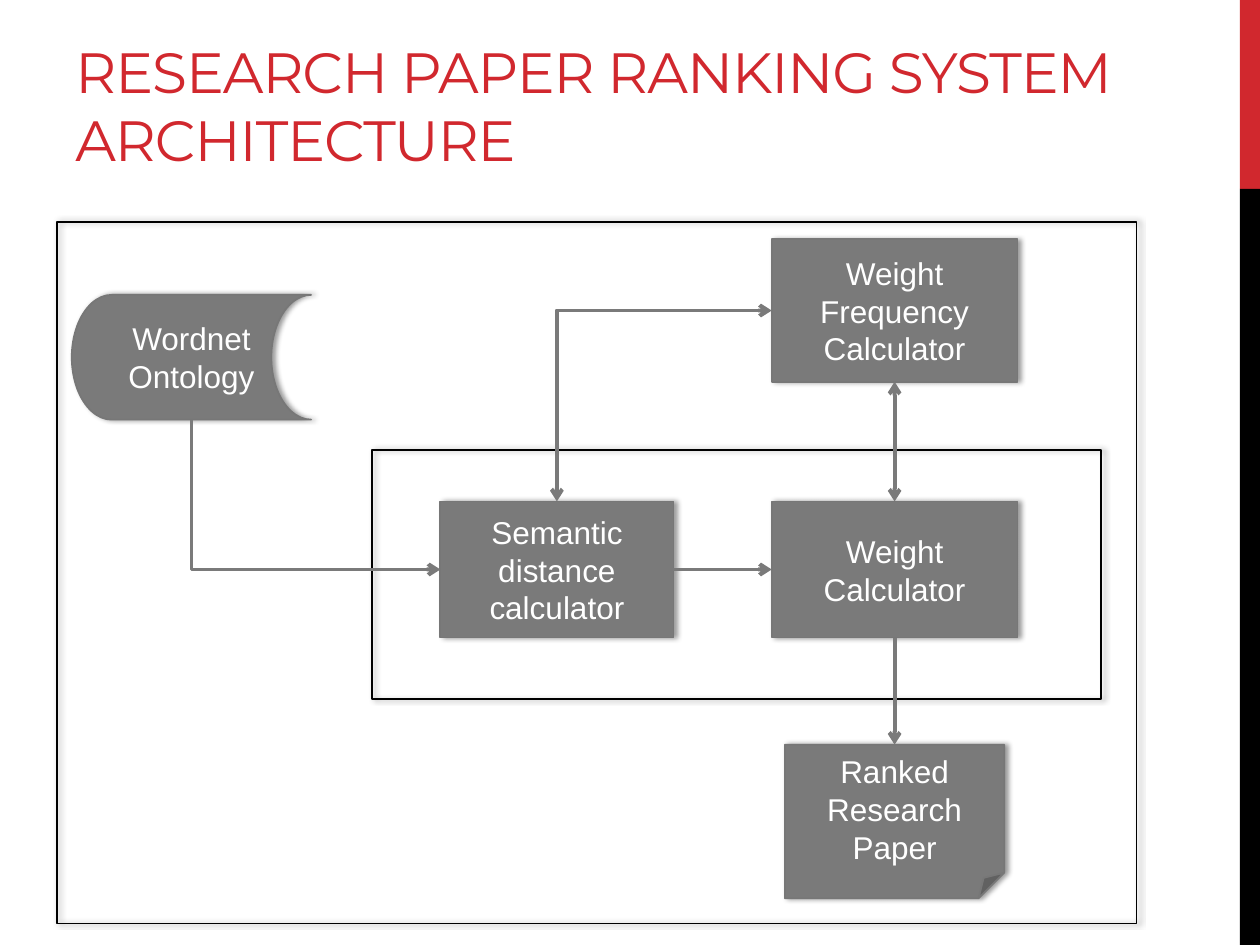
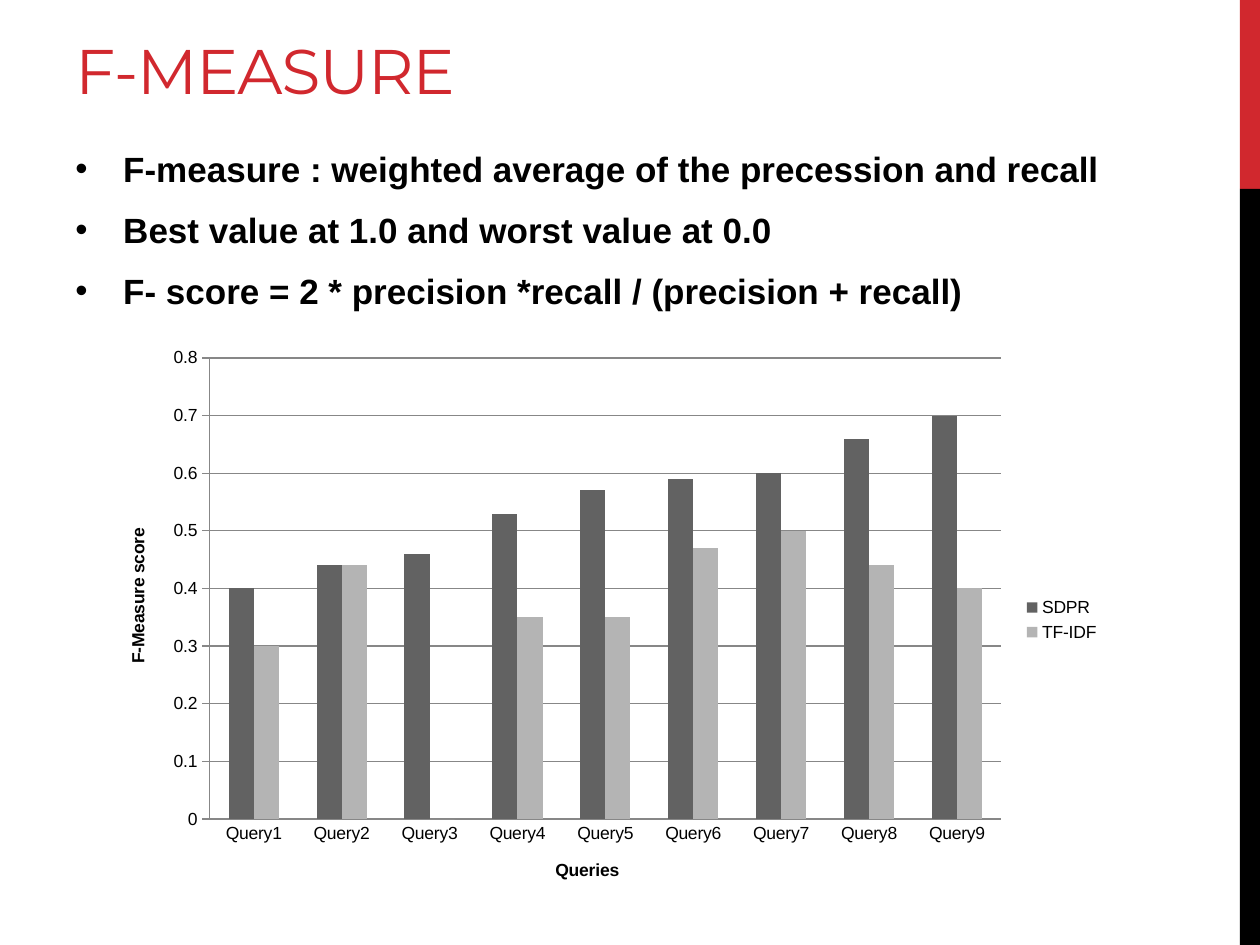
from lxml import etree
from pptx import Presentation
from pptx.chart.data import CategoryChartData
from pptx.dml.color import RGBColor
from pptx.enum.chart import XL_CHART_TYPE, XL_LEGEND_POSITION, XL_TICK_MARK
from pptx.enum.shapes import MSO_CONNECTOR, MSO_SHAPE
from pptx.enum.text import MSO_ANCHOR, PP_ALIGN
from pptx.oxml.ns import qn
from pptx.util import Inches, Pt

RECT = MSO_SHAPE.RECTANGLE
STORE = MSO_SHAPE.FLOWCHART_STORED_DATA
FOLD = MSO_SHAPE.FOLDED_CORNER
DISK = "flowChartOnlineStorage"
LINE, BENT = MSO_CONNECTOR.STRAIGHT, MSO_CONNECTOR.ELBOW
TOP, LEFT, BOTTOM, RIGHT = range(4)


class Theme:
    red, black, white = "D1282E", "000000", "FFFFFF"
    box, edge, grid = "7A7A7A", "777777", "878787"
    bars = ("626262", "B4B4B4")
    head, font = "Montserrat", "Arial"
    node, body, chart = 18, 20, 10


# Content: bands and frames are left, top, width, height
BANDS = [((9.84, 0, 0.16, 1.5), Theme.red), ((9.84, 1.5, 0.16, 6), Theme.black)]

FLOW_TITLE = ("RESEARCH PAPER RANKING SYSTEM ARCHITECTURE", (0.5, 0.17, 8.65, 1.23), 32.4)
FRAMES = [(0.45, 1.76, 8.57, 5.57), (2.95, 3.57, 5.79, 1.98)]
# Nodes: text, preset, centre x, top, width, height
NODES = {
    "store": ("Wordnet\nOntology", STORE, 1.52, 2.34, 1.9, 0.99),
    "dist": ("Semantic distance calculator", RECT, 4.42, 3.98, 1.85, 1.08),
    "weight": ("Weight Calculator", RECT, 7.1, 3.98, 1.95, 1.08),
    "rank": ("Ranked Research Paper", FOLD, 7.1, 5.91, 1.74, 1.22),
    "freq": ("Weight Frequency\nCalculator", RECT, 7.1, 1.9, 1.95, 1.13),
}
# Links: kind, start, side, end, side, ends that carry an arrow
LINKS = [
    (BENT, "dist", LEFT, "store", BOTTOM, ["headEnd"]),
    (LINE, "dist", RIGHT, "weight", LEFT, ["tailEnd"]),
    (LINE, "weight", BOTTOM, "rank", TOP, ["tailEnd"]),
    (BENT, "freq", LEFT, "dist", TOP, ["headEnd", "tailEnd"]),
    (LINE, "freq", BOTTOM, "weight", TOP, ["headEnd", "tailEnd"]),
]

SCORE_TITLE = ("F-MEASURE", (0.5, 0.17, 6.33, 0.71), 36)
POINTS = [
    "F-measure : weighted average of the precession and recall",
    "Best value at 1.0 and worst value at 0.0",
    "F- score = 2 * precision *recall / (precision + recall)",
]
POINT_AREA = (0.5, 1.12, 8.33, 1.5)
CHART_AREA = (0.78, 2.66, 8.05, 4.52)
PLOT = {"x": 0.11, "y": 0.04, "w": 0.78, "h": 0.81}
SCORES = {
    "SDPR": (0.4, 0.44, 0.46, 0.53, 0.57, 0.59, 0.6, 0.66, 0.7),
    "TF-IDF": (0.3, 0.44, 0, 0.35, 0.35, 0.47, 0.5, 0.44, 0.4),
}
AXES = ("Queries", "F-Measure score")


# Helpers
def rgb(code):
    return RGBColor.from_string(code)


def inch(area):
    return [Inches(part) for part in area]


def sub(node, tag, **attrs):
    return etree.SubElement(node, qn(tag), {key: str(val) for key, val in attrs.items()})


def style(font, size, color, name=Theme.font, bold=False):
    font.size, font.name, font.bold = Pt(size), name, bold
    font.color.rgb = rgb(color)


def add_box(slide, kind, area, fill=None, line=None, shade=False):
    box = slide.shapes.add_shape(kind, *inch(area))
    box.shadow.inherit = False
    if fill:
        box.fill.solid()
        box.fill.fore_color.rgb = rgb(fill)
    else:
        box.fill.background()
    if line:
        box.line.color.rgb = rgb(line)
        box.line.width = Pt(1)
    else:
        box.line.fill.background()
    if shade:
        fx = box.element.spPr.find(qn("a:effectLst"))
        cast = sub(fx, "a:outerShdw", blurRad=Pt(3.1), dist=Pt(1.8), dir=0, rotWithShape=0)
        sub(sub(cast, "a:srgbClr", val=Theme.black), "a:alpha", val=40000)
    return box


def add_text(slide, area):
    frame = slide.shapes.add_textbox(*inch(area)).text_frame
    frame.word_wrap = True
    return frame


def add_page(deck, title):
    slide = deck.slides.add_slide(deck.slide_layouts[6])
    for area, color in BANDS:
        add_box(slide, RECT, area, color)
    text, area, size = title
    frame = add_text(slide, area)
    frame.vertical_anchor = MSO_ANCHOR.BOTTOM
    frame.margin_bottom = Inches(0.03)
    frame.text = text
    run = frame.paragraphs[0].runs[0]
    style(run.font, size, Theme.red, Theme.head)
    run.font._element.set("spc", "-60")
    return slide


# Flow diagram
def add_node(slide, text, kind, mid, top, wide, high):
    area = (mid - wide / 2, top, wide, high)
    node = add_box(slide, kind, area, Theme.box, Theme.edge, True)
    if kind == STORE:
        node.element.spPr.find(qn("a:prstGeom")).set("prst", DISK)
    frame = node.text_frame
    frame.word_wrap = True
    frame.vertical_anchor = MSO_ANCHOR.MIDDLE
    frame.text = text
    for para in frame.paragraphs:
        para.alignment = PP_ALIGN.CENTER
        style(para.runs[0].font, Theme.node, Theme.white)
    return node


def add_link(slide, kind, start, out, end, into, tips):
    link = slide.shapes.add_connector(kind, *side(start, out), *side(end, into))
    link.begin_connect(start, out)
    link.end_connect(end, into)
    link.line.color.rgb = rgb(Theme.box)
    link.line.width = Pt(2.25)
    props = link.element.spPr
    if kind == BENT:
        props.find(qn("a:prstGeom")).set("prst", "bentConnector2")
    for tip in tips:
        sub(props.find(qn("a:ln")), "a:" + tip, type="arrow")
    sub(props, "a:effectLst")


def side(box, spot):
    across = {LEFT: 0, RIGHT: 2}.get(spot, 1)
    down = {TOP: 0, BOTTOM: 2}.get(spot, 1)
    return box.left + box.width * across // 2, box.top + box.height * down // 2


def flow_page(deck):
    slide = add_page(deck, FLOW_TITLE)
    for area in FRAMES:
        add_box(slide, RECT, area, line=Theme.black, shade=True)
    nodes = {key: add_node(slide, *node) for key, node in NODES.items()}
    for kind, start, out, end, into, tips in LINKS:
        add_link(slide, kind, nodes[start], out, nodes[end], into, tips)


# Score bullets and chart
def add_points(slide):
    frame = add_text(slide, POINT_AREA)
    frame.text = "\n".join(POINTS)
    for index, para in enumerate(frame.paragraphs):
        props = para._p.get_or_add_pPr()
        props.set("marL", str(Inches(0.38)))
        props.set("indent", str(-Inches(0.38)))
        sub(props, "a:buFont", typeface=Theme.font)
        sub(props, "a:buChar", char="•")
        para.space_before = Pt(5 if index else 0)
        para.space_after = Pt(6)
        style(para.runs[0].font, Theme.body, Theme.black, bold=True)


def add_chart(slide):
    data = CategoryChartData()
    count = len(SCORES["SDPR"])
    data.categories = [f"Query{num}" for num in range(1, count + 1)]
    for name, vals in SCORES.items():
        data.add_series(name, vals)
    kind = XL_CHART_TYPE.COLUMN_CLUSTERED
    chart = slide.shapes.add_chart(kind, *inch(CHART_AREA), data).chart
    style(chart.font, Theme.chart, Theme.black)
    chart.has_title = False
    chart.has_legend = True
    chart.legend.position = XL_LEGEND_POSITION.RIGHT
    chart.legend.include_in_layout = False

    plot = chart.plots[0]
    plot.gap_width, plot.overlap = 150, 0
    plot.vary_by_categories = False
    for series, color in zip(plot.series, Theme.bars):
        series.format.fill.solid()
        series.format.fill.fore_color.rgb = rgb(color)

    cat, val = chart.category_axis, chart.value_axis
    for axis, text in zip((cat, val), AXES):
        axis.axis_title.text_frame.text = text
        run = axis.axis_title.text_frame.paragraphs[0].runs[0]
        style(run.font, Theme.chart, Theme.black, bold=True)
        axis.format.line.color.rgb = rgb(Theme.grid)
    cat.major_tick_mark = XL_TICK_MARK.NONE
    val.major_tick_mark = XL_TICK_MARK.OUTSIDE
    val.minimum_scale, val.maximum_scale, val.major_unit = 0, 0.8, 0.1
    val.tick_labels.number_format = "General"
    val.tick_labels.number_format_is_linked = False
    val.major_gridlines.format.line.color.rgb = rgb(Theme.grid)

    # Fixed place for the plot inside the chart
    area = chart.element.chart.plotArea
    for old in area.findall(qn("c:layout")):
        area.remove(old)
    spot = etree.Element(qn("c:layout"))
    area.insert(0, spot)
    fixed = sub(spot, "c:manualLayout")
    sub(fixed, "c:layoutTarget", val="inner")
    for key in "xy":
        sub(fixed, f"c:{key}Mode", val="edge")
    for key, part in PLOT.items():
        sub(fixed, f"c:{key}", val=part)


def score_page(deck):
    slide = add_page(deck, SCORE_TITLE)
    add_points(slide)
    add_chart(slide)


def main():
    deck = Presentation()
    deck.slide_width, deck.slide_height = Inches(10), Inches(7.5)
    flow_page(deck)
    score_page(deck)
    deck.save("out.pptx")


if __name__ == "__main__":
    main()
